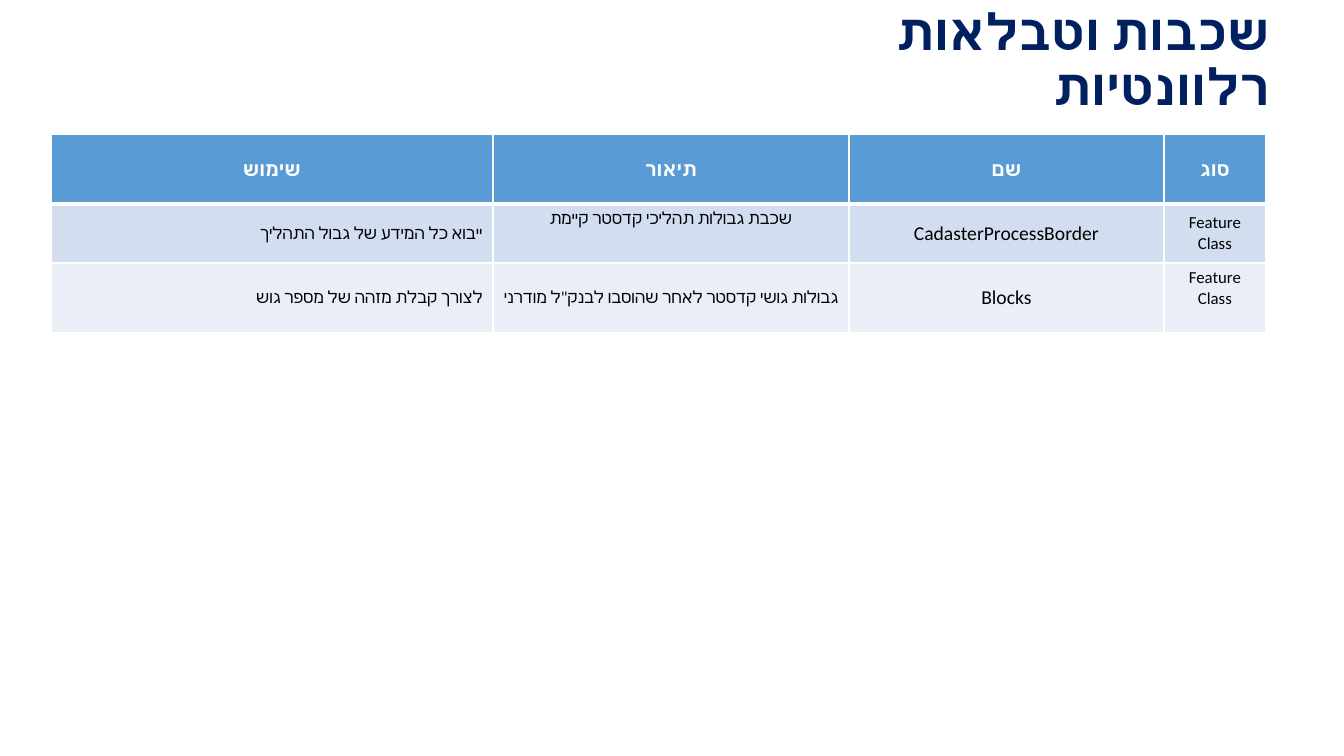
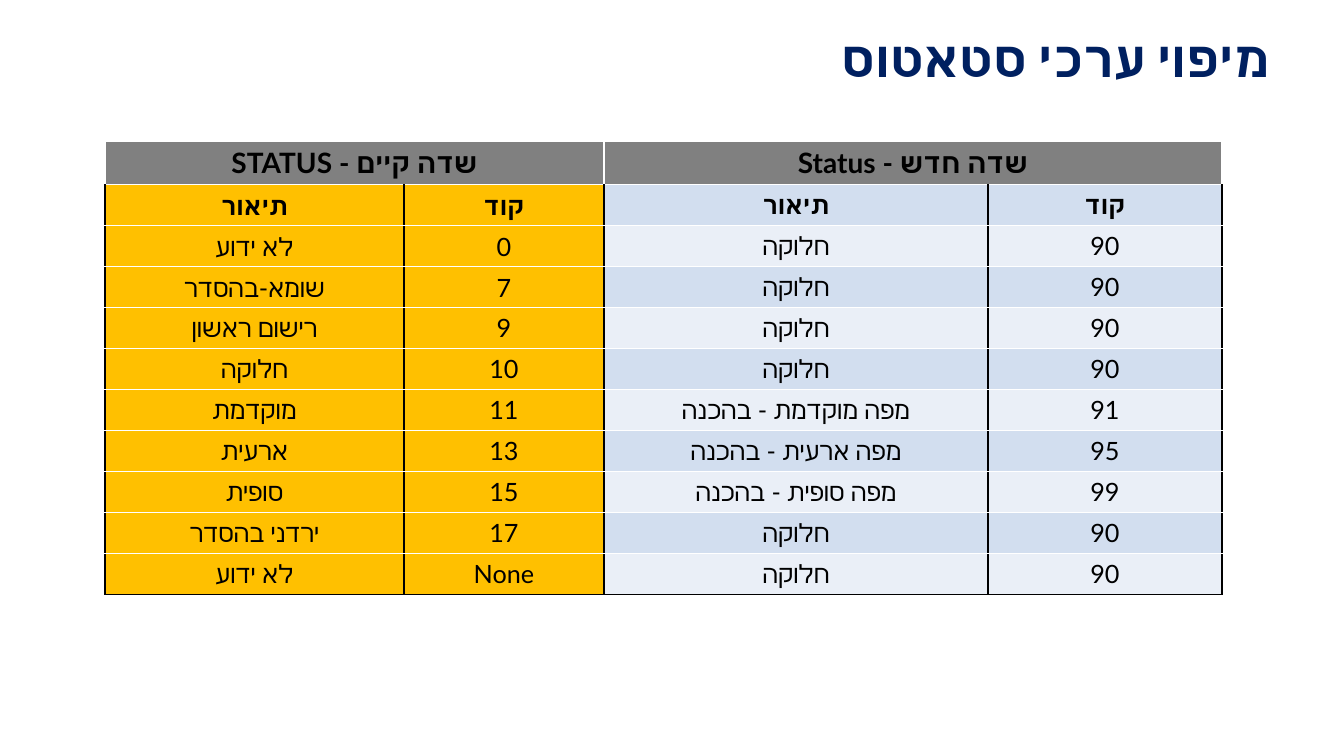
from pptx import Presentation
from pptx.dml.color import RGBColor
from pptx.enum.text import MSO_ANCHOR, PP_ALIGN
from pptx.oxml import parse_xml
from pptx.oxml.ns import nsdecls
from pptx.util import Pt

PIXEL = 914400 / 100.8
COLORS = {
    "navy": "002060", "white": "FFFFFF", "black": "000000", "blue": "5B9BD5",
    "band dark": "D2DEEF", "band light": "EAEFF7", "gray": "808080", "amber": "FFC000",
}
CENTER, RIGHT = PP_ALIGN.CENTER, PP_ALIGN.RIGHT
TOP, MIDDLE = MSO_ANCHOR.TOP, MSO_ANCHOR.MIDDLE


def pixels(*lengths):
    return [round(length * PIXEL) for length in lengths]


def write_text(frame, text, color, align, rtl, **font):
    paragraph = frame.paragraphs[0]
    paragraph.alignment = align
    if rtl:
        paragraph._p.get_or_add_pPr().set("rtl", "1")
    run = paragraph.add_run()
    run.text = text
    for name, value in font.items():
        setattr(run.font, name, value)
    run.font.color.rgb = RGBColor.from_string(COLORS[color])
    run._r.get_or_add_rPr().append(
        parse_xml(f'<a:cs {nsdecls("a")} typeface="{font["name"]}"/>'))
    return paragraph


layer_rows = [
    ["שימוש", "תיאור", "שם", "סוג"],
    ["ייבוא כל המידע של גבול התהליך", "שכבת גבולות תהליכי קדסטר קיימת",
     "CadasterProcessBorder", "Feature Class"],
    ["לצורך קבלת מזהה של מספר גוש", "גבולות גושי קדסטר לאחר שהוסבו לבנק\"ל מודרני",
     "Blocks", "Feature Class"],
]
status_rows = [
    ["שדה קיים - STATUS", "", "שדה חדש - Status", ""],
    ["תיאור", "קוד", "תיאור", "קוד"],
    ["לא ידוע", "0", "חלוקה", "90"],
    ["שומא-בהסדר", "7", "חלוקה", "90"],
    ["רישום ראשון", "9", "חלוקה", "90"],
    ["חלוקה", "10", "חלוקה", "90"],
    ["מוקדמת", "11", "מפה מוקדמת - בהכנה", "91"],
    ["ארעית", "13", "מפה ארעית - בהכנה", "95"],
    ["סופית", "15", "מפה סופית - בהכנה", "99"],
    ["ירדני בהסדר", "17", "חלוקה", "90"],
    ["לא ידוע", "None", "חלוקה", "90"],
]
pages = [
    {"title": "שכבות וטבלאות רלוונטיות", "rows": layer_rows, "origin": (51, 134),
     "widths": [442, 356, 315, 102], "heights": [70, 59, 70],
     "header": "blue", "header text": "white", "header size": 14, "bold rows": 1,
     "font": "Calibri", "sizes": [12, 12, 14, 12], "line": "white", "header line": 3,
     "rtl cells": [(1, 0), (2, 0), (2, 1)], "right cells": [(1, 0), (2, 0), (2, 1)],
     "top cells": [(1, 1), (2, 3)], "accent columns": 0, "merges": []},
    {"title": "מיפוי ערכי סטאטוס", "rows": status_rows, "origin": (105, 141),
     "widths": [299, 200, 384, 234], "heights": [43] + [41] * 10,
     "header": "gray", "header text": "black", "header size": 20, "bold rows": 2,
     "font": "Lato", "sizes": [18] * 4, "line": "black", "header line": 1,
     "rtl cells": [(0, 0), (0, 2)], "right cells": [],
     "top cells": [(row, column) for row in range(11) for column in (2, 3)],
     "accent columns": 2, "merges": [0, 2]},
]

presentation = Presentation()
presentation.slide_width, presentation.slide_height = pixels(1344, 756)

for page in pages:
    slide = presentation.slides.add_slide(presentation.slide_layouts[6])

    title = slide.shapes.add_textbox(*pixels(756, 27, 524, 69))
    title.text_frame.word_wrap = True
    title.text_frame.vertical_anchor = MIDDLE
    heading = write_text(title.text_frame, page["title"], "navy", RIGHT, True,
                         name="Calibri", size=Pt(36), bold=True)
    heading.line_spacing = 0.9

    widths, heights = page["widths"], page["heights"]
    table = slide.shapes.add_table(
        len(heights), len(widths),
        *pixels(*page["origin"], sum(widths), sum(heights))).table
    table.first_row = table.horz_banding = False
    for column, width in zip(table.columns, pixels(*widths)):
        column.width = width
    for row, height in zip(table.rows, pixels(*heights)):
        row.height = height
    for start in page["merges"]:
        table.cell(0, start).merge(table.cell(0, start + 1))

    for row, texts in enumerate(page["rows"]):
        is_header = row == 0
        band = "band dark" if row % 2 else "band light"
        for column, text in enumerate(texts):
            cell = table.cell(row, column)
            place = (row, column)
            cell.vertical_anchor = TOP if place in page["top cells"] else MIDDLE

            for side in "LRTB" if is_header else "LRB":
                bottom = side == "B"
                line = "white" if is_header and not bottom else page["line"]
                weight = Pt(page["header line"] if is_header and bottom else 1)
                cell._tc.get_or_add_tcPr().append(parse_xml(
                    f'<a:ln{side} {nsdecls("a")} w="{weight}"><a:solidFill>'
                    f'<a:srgbClr val="{COLORS[line]}"/></a:solidFill></a:ln{side}>'))

            body = "amber" if column < page["accent columns"] else band
            cell.fill.solid()
            cell.fill.fore_color.rgb = RGBColor.from_string(
                COLORS[page["header"] if is_header else body])
            if text:
                write_text(
                    cell.text_frame, text,
                    page["header text"] if is_header else "black",
                    RIGHT if place in page["right cells"] else CENTER,
                    place in page["rtl cells"],
                    name="Lato" if is_header else page["font"],
                    size=Pt(page["header size"] if is_header else page["sizes"][column]),
                    bold=row < page["bold rows"])

presentation.save("out.pptx")
